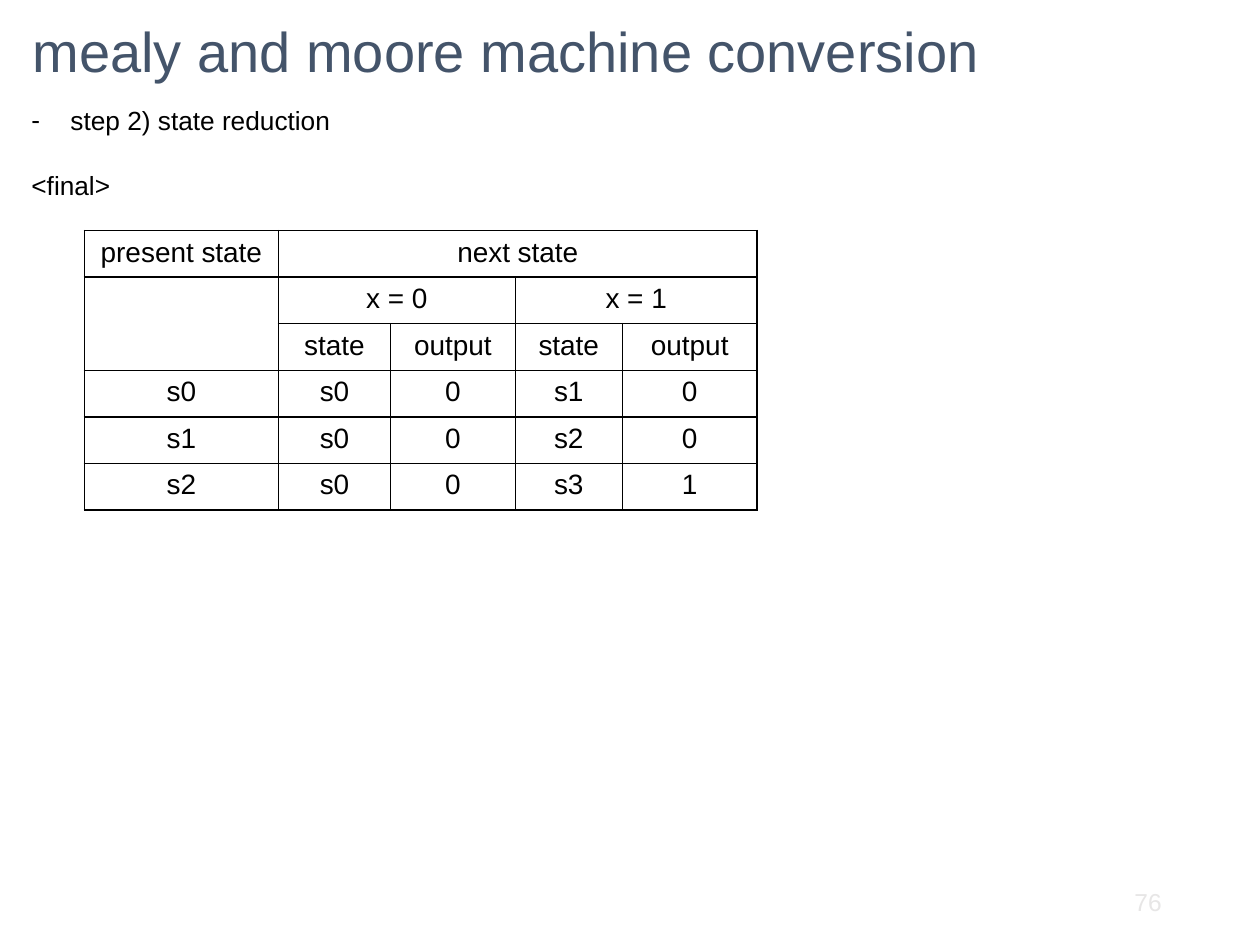
from dataclasses import dataclass

from lxml import etree
from pptx import Presentation
from pptx.dml.color import RGBColor
from pptx.enum.text import MSO_ANCHOR, PP_ALIGN
from pptx.oxml.ns import qn
from pptx.util import Emu, Inches, Pt

LEFT, CENTER, RIGHT = PP_ALIGN.LEFT, PP_ALIGN.CENTER, PP_ALIGN.RIGHT
TOP, MIDDLE, BOTTOM = MSO_ANCHOR.TOP, MSO_ANCHOR.MIDDLE, MSO_ANCHOR.BOTTOM

BLACK = RGBColor(0x00, 0x00, 0x00)
SLATE = RGBColor(0x44, 0x54, 0x6A)
PALE_GRAY = RGBColor(0xE7, 0xE6, 0xE6)

FONT = "Arial"
PAGE_WIDTH, PAGE_HEIGHT = 10, 7.5
BULLET_INDENT = 0.31
BORDER_WIDTH = 1

TABLE_LEFT, TABLE_TOP = 0.67, 1.83
COLUMN_WIDTHS = (1.54, 0.89, 0.99, 0.85, 1.07)
ROW_HEIGHT = 0.37
STATE_ROWS = (
    ("present state", "next state", "", "", ""),
    ("", "x = 0", "", "x = 1", ""),
    ("", "state", "output", "state", "output"),
    ("s0", "s0", "0", "s1", "0"),
    ("s1", "s0", "0", "s2", "0"),
    ("s2", "s0", "0", "s3", "1"),
)


@dataclass(frozen=True)
class Span:
    first: tuple[int, int]
    last: tuple[int, int]


MERGES = (
    Span((0, 1), (0, 4)),
    Span((1, 0), (2, 0)),
    Span((1, 1), (1, 2)),
    Span((1, 3), (1, 4)),
)


@dataclass(frozen=True)
class Line:
    text: str
    bullet: str = ""
    space_before: float = 0


@dataclass(frozen=True)
class TextBlock:
    left: float
    top: float
    width: float
    height: float
    lines: tuple[Line, ...]
    size: float
    color: RGBColor
    anchor: MSO_ANCHOR = TOP
    align: PP_ALIGN = LEFT
    inset: tuple[float, float] = (0, 0)


BLOCKS = (
    TextBlock(0.16, 0.04, 8.5, 0.67, (Line("mealy and moore machine conversion"),),
              32, SLATE, anchor=BOTTOM, inset=(0.1, 0.05)),
    TextBlock(0.25, 0.83, 9.67, 5.05,
              (Line("step 2) state reduction", bullet="-"),
               Line("<final>", space_before=19)),
              15, BLACK),
    TextBlock(8.2, 6.96, 1.02, 0.4, (Line("76"),), 14, PALE_GRAY,
              anchor=MIDDLE, align=RIGHT),
)


def add_span(para, text: str, size: float, color: RGBColor) -> None:
    span = para.add_run()
    span.text = text
    span.font.name = FONT
    span.font.size = Pt(size)
    span.font.color.rgb = color


def add_bullet(para, mark: str) -> None:
    properties = para._p.get_or_add_pPr()
    properties.set("marL", str(Inches(BULLET_INDENT)))
    properties.set("indent", str(-Inches(BULLET_INDENT)))
    etree.SubElement(properties, qn("a:buFont"), typeface=FONT)
    etree.SubElement(properties, qn("a:buChar"), char=mark)


def add_text_block(page, block: TextBlock) -> None:
    box = page.shapes.add_textbox(Inches(block.left), Inches(block.top),
                                  Inches(block.width), Inches(block.height))
    frame = box.text_frame
    frame.word_wrap = True
    frame.vertical_anchor = block.anchor
    frame.margin_left = frame.margin_right = Inches(block.inset[0])
    frame.margin_top = frame.margin_bottom = Inches(block.inset[1])
    for index, line in enumerate(block.lines):
        para = frame.add_paragraph() if index else frame.paragraphs[0]
        para.alignment = block.align
        if line.bullet:
            add_bullet(para, line.bullet)
        if line.space_before:
            para.space_before = Pt(line.space_before)
        add_span(para, line.text, block.size, block.color)


def set_borders(cell) -> None:
    """Outline all four sides; edges must precede the cell's fill in the XML."""
    properties = cell._tc.get_or_add_tcPr()
    for position, side in enumerate(("lnL", "lnR", "lnT", "lnB")):
        edge = etree.Element(qn(f"a:{side}"), w=str(Pt(BORDER_WIDTH)))
        fill = etree.SubElement(edge, qn("a:solidFill"))
        etree.SubElement(fill, qn("a:srgbClr"), val=str(BLACK))
        properties.insert(position, edge)


def add_state_table(page) -> None:
    width = Inches(sum(COLUMN_WIDTHS))
    height = Inches(ROW_HEIGHT * len(STATE_ROWS))
    table = page.shapes.add_table(len(STATE_ROWS), len(COLUMN_WIDTHS),
                                  Inches(TABLE_LEFT), Inches(TABLE_TOP),
                                  Emu(width), Emu(height)).table
    table.first_row = table.horz_banding = False
    for column, column_width in zip(table.columns, COLUMN_WIDTHS):
        column.width = Inches(column_width)
    for row_index, texts in enumerate(STATE_ROWS):
        table.rows[row_index].height = Inches(ROW_HEIGHT)
        for column_index, text in enumerate(texts):
            cell = table.cell(row_index, column_index)
            cell.fill.background()
            set_borders(cell)
            para = cell.text_frame.paragraphs[0]
            para.alignment = CENTER
            if text:
                add_span(para, text, 16, BLACK)
    for merge in MERGES:
        table.cell(*merge.first).merge(table.cell(*merge.last))


def main() -> None:
    deck = Presentation()
    deck.slide_width, deck.slide_height = Inches(PAGE_WIDTH), Inches(PAGE_HEIGHT)
    page = deck.slides.add_slide(deck.slide_layouts[6])
    for block in BLOCKS:
        add_text_block(page, block)
    add_state_table(page)
    deck.save("out.pptx")


if __name__ == "__main__":
    main()
